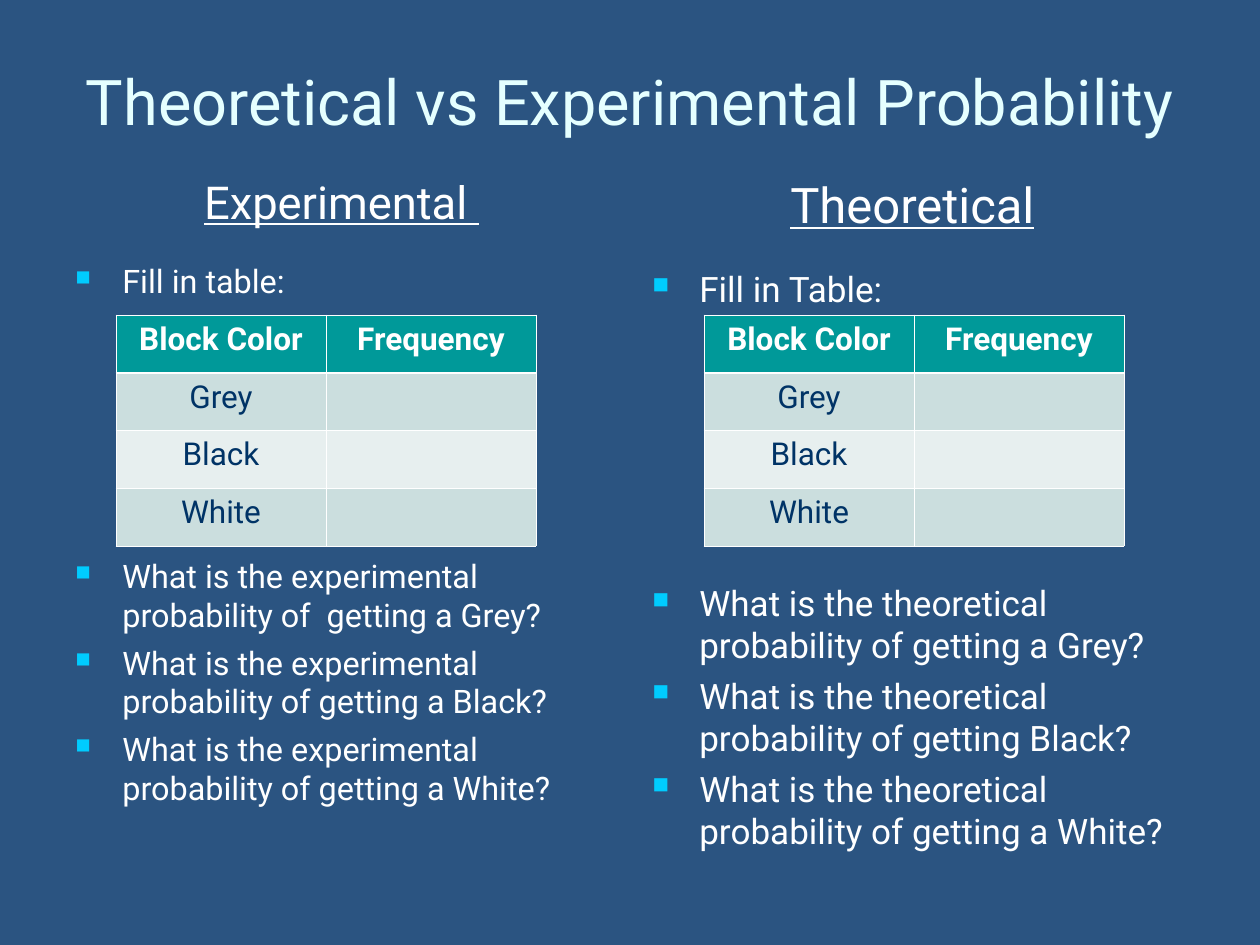
from dataclasses import dataclass

from lxml import etree
from pptx import Presentation
from pptx import util as u
from pptx.dml.color import RGBColor
from pptx.enum import text
from pptx.oxml.ns import qn

PX = u.Inches(1) / 126
LINE_HEIGHT = 1.2
INDENT = 47


@dataclass(frozen=True)
class Theme:
    font: str = "Roboto"
    background: str = "2B5481"
    title: str = "E5FFFF"
    white: str = "FFFFFF"
    bullet: str = "00CCFF"
    header: str = "009999"
    bands: tuple = ("CBDEDE", "E7EFEF")
    cell_text: str = "003366"
    title_size: float = 36
    table_size: float = 18


THEME = Theme()


def px(length):
    return u.Emu(round(length * PX))


def rgb(color):
    return RGBColor.from_string(color)


def style(paragraph, size, color, align=text.PP_ALIGN.LEFT, bold=False):
    paragraph.alignment = align
    font = paragraph.font
    font.name, font.size, font.bold = THEME.font, u.Pt(size), bold
    font.color.rgb = rgb(color)


def add_title(slide, wording):
    title = slide.shapes.title
    title.left, title.top, title.width, title.height = map(px, (42, 32, 1176, 136))
    frame = title.text_frame
    frame.text = wording
    frame.word_wrap = True
    frame.vertical_anchor = text.MSO_ANCHOR.MIDDLE
    style(frame.paragraphs[0], THEME.title_size, THEME.title, text.PP_ALIGN.CENTER)


def set_hanging_bullet(paragraph):
    properties = paragraph._p.get_or_add_pPr()
    properties.set("marL", str(px(INDENT)))
    properties.set("indent", str(-px(INDENT)))
    color = etree.SubElement(properties, qn("a:buClr"))
    etree.SubElement(color, qn("a:srgbClr"), val=THEME.bullet)
    etree.SubElement(properties, qn("a:buSzPct"), val="65000")
    etree.SubElement(properties, qn("a:buChar"), char="■")


def add_column(slide, left, heading, prompt, questions, heading_size, body_size, spacer):
    box = slide.shapes.add_textbox(px(left), px(168), px(557), px(725))
    frame = box.text_frame
    frame.word_wrap = True

    # Heading: its runs differ only in underline
    paragraph = frame.paragraphs[0]
    for wording, underlined in heading:
        run = paragraph.add_run()
        run.text = wording
        run.font.underline = underlined
    style(paragraph, heading_size, THEME.white, text.PP_ALIGN.CENTER)

    # Space under the heading, and room for the table under the prompt
    prompt_gap = spacer * LINE_HEIGHT + 7.5
    table_gap = 3 * (heading_size * LINE_HEIGHT + 7) + body_size * LINE_HEIGHT + 10
    gaps = [prompt_gap, table_gap] + [5] * (len(questions) - 1)
    for wording, gap in zip([prompt, *questions], gaps):
        paragraph = frame.add_paragraph()
        paragraph.text = wording
        set_hanging_bullet(paragraph)
        paragraph.space_before = u.Pt(round(gap, 1))
        style(paragraph, body_size, THEME.white)


def set_borders(cell, row):
    properties = cell._tc.get_or_add_tcPr()
    for side in "LRTB":
        heavy = (row, side) in ((0, "B"), (1, "T"))
        width = u.Pt(1.47 if heavy else 0.45)
        line = etree.SubElement(properties, qn(f"a:ln{side}"), w=str(width))
        fill = etree.SubElement(line, qn("a:solidFill"))
        etree.SubElement(fill, qn("a:srgbClr"), val=THEME.white)


def add_frequency_table(slide, left):
    rows = [("Block Color", "Frequency"), ("Grey", ""), ("Black", ""), ("White", "")]
    frame = slide.shapes.add_table(len(rows), 2, px(left), px(315), px(420), px(231))
    table = frame.table
    for row, wordings in enumerate(rows):
        header = row == 0
        for column, wording in enumerate(wordings):
            cell = table.cell(row, column)
            cell.text = wording
            set_borders(cell, row)
            cell.fill.solid()
            cell.fill.fore_color.rgb = rgb(THEME.header if header else THEME.bands[(row - 1) % 2])
            style(cell.text_frame.paragraphs[0], THEME.table_size,
                  THEME.white if header else THEME.cell_text,
                  text.PP_ALIGN.CENTER, bold=header)


def main():
    presentation = Presentation()
    presentation.slide_width, presentation.slide_height = px(1260), px(945)
    slide = presentation.slides.add_slide(presentation.slide_layouts[5])
    slide.background.fill.solid()
    slide.background.fill.fore_color.rgb = rgb(THEME.background)

    add_title(slide, "Theoretical vs Experimental Probability")

    # Two columns of headings and questions
    add_column(slide, 63, [("Experimental ", True)], "Fill in table:",
               ["What is the experimental probability of  getting a Grey?",
                "What is the experimental probability of getting a Black?",
                "What is the experimental probability of getting a White?"],
               heading_size=25.9, body_size=18.5, spacer=9.2)
    add_column(slide, 640, [("Theoretical", True), (" ", False)], "Fill in Table:",
               ["What is the theoretical probability of getting a Grey?",
                "What is the theoretical probability of getting Black?",
                "What is the theoretical probability of getting a White?"],
               heading_size=28, body_size=20, spacer=10)

    # One table in the gap of each column
    for left in (116, 704):
        add_frequency_table(slide, left)

    presentation.save("out.pptx")


if __name__ == "__main__":
    main()
